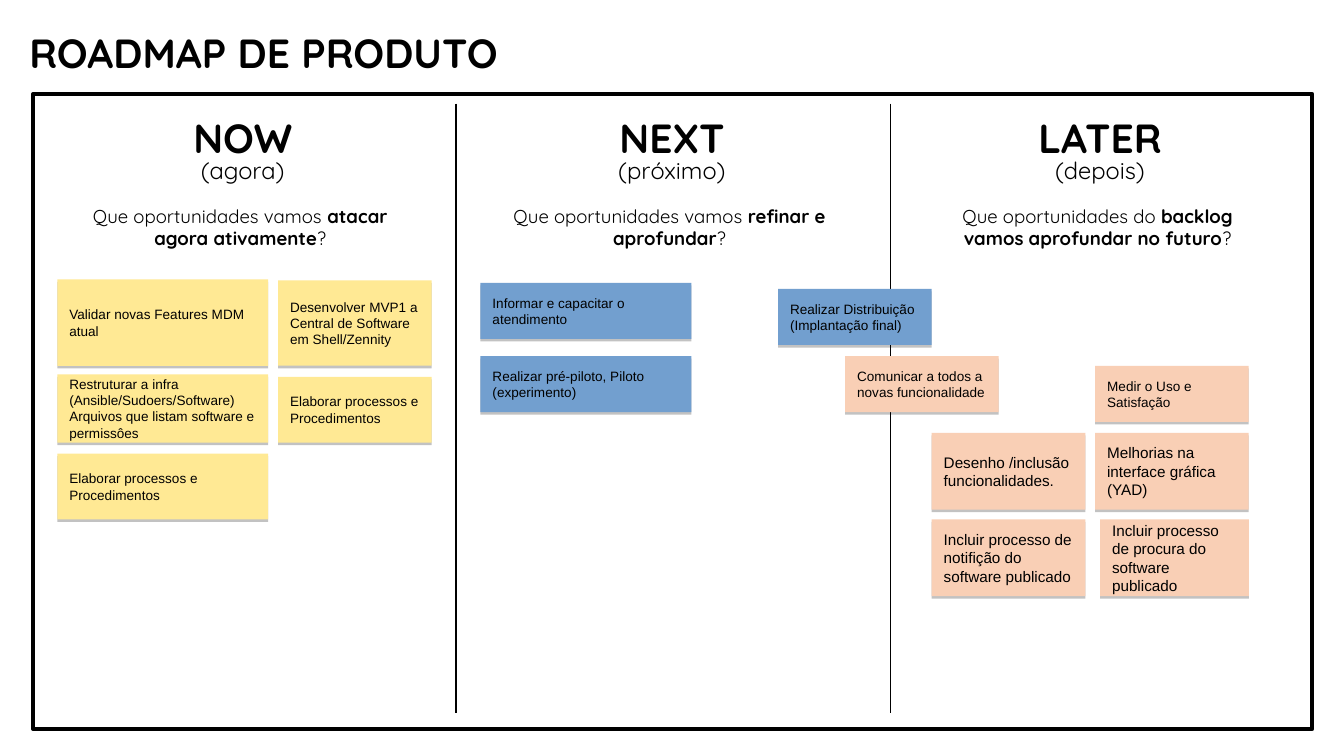
from lxml.etree import SubElement
from pptx import Presentation
from pptx.dml.color import RGBColor
from pptx.enum.shapes import MSO_CONNECTOR, MSO_SHAPE
from pptx.enum.text import MSO_ANCHOR, MSO_AUTO_SIZE, PP_ALIGN
from pptx.oxml.ns import qn
from pptx.util import Pt

PX = 9144
BLACK = RGBColor(0x00, 0x00, 0x00)
YELLOW = RGBColor(0xFF, 0xE9, 0x94)
BLUE = RGBColor(0x72, 0x9F, 0xCF)
PEACH = RGBColor(0xF9, 0xCF, 0xB5)
HEADING_FONT = "Quicksand"
NOTE_FONT = "Arial"

COLUMNS = [
    ((27, 77, 347, 521), "NOW", "(agora)",
     [("Que oportunidades vamos ", False), ("atacar agora ativamente", True), ("?", False)],
     [((20, 152, 173, 71), YELLOW, 8, "Validar novas Features MDM atual"),
      ((201, 153, 126, 70), YELLOW, 8, "Desenvolver MVP1 a Central de Software em Shell/Zennity"),
      ((20, 230, 173, 56), YELLOW, 8,
       "Restruturar a infra (Ansible/Sudoers/Software) Arquivos que listam software e permissôes"),
      ((201, 232, 126, 54), YELLOW, 8, "Elaborar processos e Procedimentos"),
      ((20, 295, 173, 54), YELLOW, 8, "Elaborar processos e Procedimentos")]),
    ((374, 77, 356, 521), "NEXT", "(próximo)",
     [("Que oportunidades vamos ", False), ("refinar e aprofundar", True), ("?", False)],
     [((20, 155, 173, 46), BLUE, 8, "Informar e capacitar o atendimento"),
      ((20, 215, 173, 46), BLUE, 8, "Realizar pré-piloto, Piloto (experimento)"),
      ((264, 160, 126, 46), BLUE, 8, "Realizar Distribuição (Implantação final)")]),
    ((730, 77, 346, 521), "LATER", "(depois)",
     [("Que oportunidades do ", False), ("backlog vamos aprofundar no futuro", True), ("?", False)],
     [((-37, 215, 126, 46), PEACH, 8, "Comunicar a todos a novas funcionalidade"),
      ((168, 223, 126, 46), PEACH, 8, "Medir o Uso e Satisfação"),
      ((34, 278, 126, 63), PEACH, 9, "Desenho /inclusão funcionalidades."),
      ((168, 278, 126, 63), PEACH, 9, "Melhorias na interface gráfica (YAD)"),
      ((34, 349, 126, 63), PEACH, 9, "Incluir processo de notifição do software publicado"),
      ((172, 349, 122, 63), PEACH, 9, "Incluir processo de procura do software publicado")]),
]


def emu(box):
    return [length * PX for length in box]


def apply(target, values):
    for attribute, value in values.items():
        setattr(target, attribute, value)


def format_frame(frame, inset, anchor):
    apply(frame, {
        "word_wrap": True, "auto_size": MSO_AUTO_SIZE.NONE, "vertical_anchor": anchor,
        "margin_left": inset * PX, "margin_right": inset * PX,
        "margin_top": inset * PX, "margin_bottom": inset * PX,
    })


def write(paragraph, runs, align, font, size, spacing=1.0):
    apply(paragraph, {"alignment": align, "line_spacing": spacing})
    for words, bold in runs:
        run = paragraph.add_run()
        run.text = words
        apply(run.font, {"name": font, "size": Pt(size), "bold": bold})
        run.font.color.rgb = BLACK


def add_title(slide, box):
    title = slide.shapes.title
    apply(title, dict(zip(("left", "top", "width", "height"), emu(box))))
    format_frame(title.text_frame, 4, MSO_ANCHOR.MIDDLE)
    write(title.text_frame.paragraphs[0], [("ROADMAP DE PRODUTO", True)],
          PP_ALIGN.LEFT, HEADING_FONT, 24)


def add_board(slide, box, dividers):
    left, top, width, height = box
    board = slide.shapes.add_shape(MSO_SHAPE.RECTANGLE, *emu(box))
    board.shadow.inherit = False
    board.fill.background()
    board.line.color.rgb = BLACK
    board.line.width = Pt(2.25)
    for x in dividers:
        divider = slide.shapes.add_connector(
            MSO_CONNECTOR.STRAIGHT, *emu((x, top + 8, x, top + 508)))
        divider.line.color.rgb = BLACK
        divider.line.width = Pt(0.75)
        SubElement(divider._element.spPr, qn("a:effectLst"))


def add_text(slide, box):
    frame = slide.shapes.add_textbox(*emu(box)).text_frame
    format_frame(frame, 10, MSO_ANCHOR.TOP)
    return frame


def add_shadow(shape):
    shape.shadow.inherit = False
    effects = shape._element.spPr.find(qn("a:effectLst"))
    shadow = SubElement(effects, qn("a:outerShdw"), blurRad="0", dist=str(Pt(1.5)),
                        dir="5400000", algn="bl", rotWithShape="0")
    color = SubElement(shadow, qn("a:srgbClr"), val=str(BLACK))
    SubElement(color, qn("a:alpha"), val="24000")


def add_note(slide, box, color, size, words):
    note = slide.shapes.add_shape(MSO_SHAPE.RECTANGLE, *emu(box))
    note.fill.solid()
    note.fill.fore_color.rgb = color
    note.line.fill.background()
    add_shadow(note)
    format_frame(note.text_frame, 10, MSO_ANCHOR.MIDDLE)
    write(note.text_frame.paragraphs[0], [(words, False)], PP_ALIGN.LEFT, NOTE_FONT, size)


def add_column(slide, box, heading, translation, question, notes):
    left, top, width, height = box
    center = left + width // 2
    heading_frame = add_text(slide, (center - 145, top + 13, 288, 70))
    write(heading_frame.paragraphs[0], [(heading, True)],
          PP_ALIGN.CENTER, HEADING_FONT, 24, 0.8)
    write(heading_frame.add_paragraph(), [(translation, False)],
          PP_ALIGN.CENTER, HEADING_FONT, 14, 0.8)
    question_frame = add_text(slide, (center - 150, top + 81, 294, 61))
    write(question_frame.paragraphs[0], question, PP_ALIGN.CENTER, HEADING_FONT, 11)
    for (x, y, note_width, note_height), color, size, words in notes:
        add_note(slide, (left + x, top + y, note_width, note_height), color, size, words)


def main():
    presentation = Presentation()
    apply(presentation, {"slide_width": 1102 * PX, "slide_height": 620 * PX})
    slide = presentation.slides.add_slide(presentation.slide_layouts[5])
    add_title(slide, (20, 18, 923, 50))
    add_board(slide, (27, 77, 1049, 521), [column[0][0] for column in COLUMNS[1:]])
    for column in COLUMNS:
        add_column(slide, *column)
    presentation.save("out.pptx")


if __name__ == "__main__":
    main()
